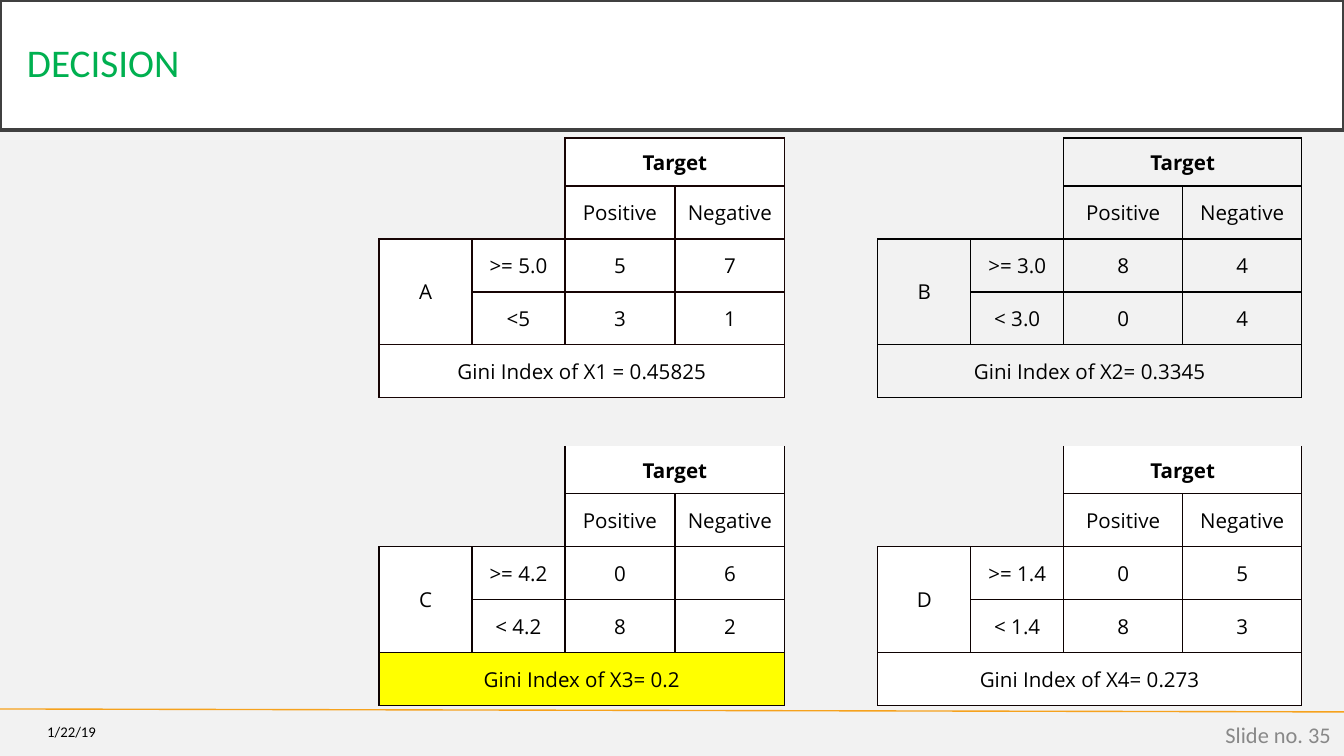
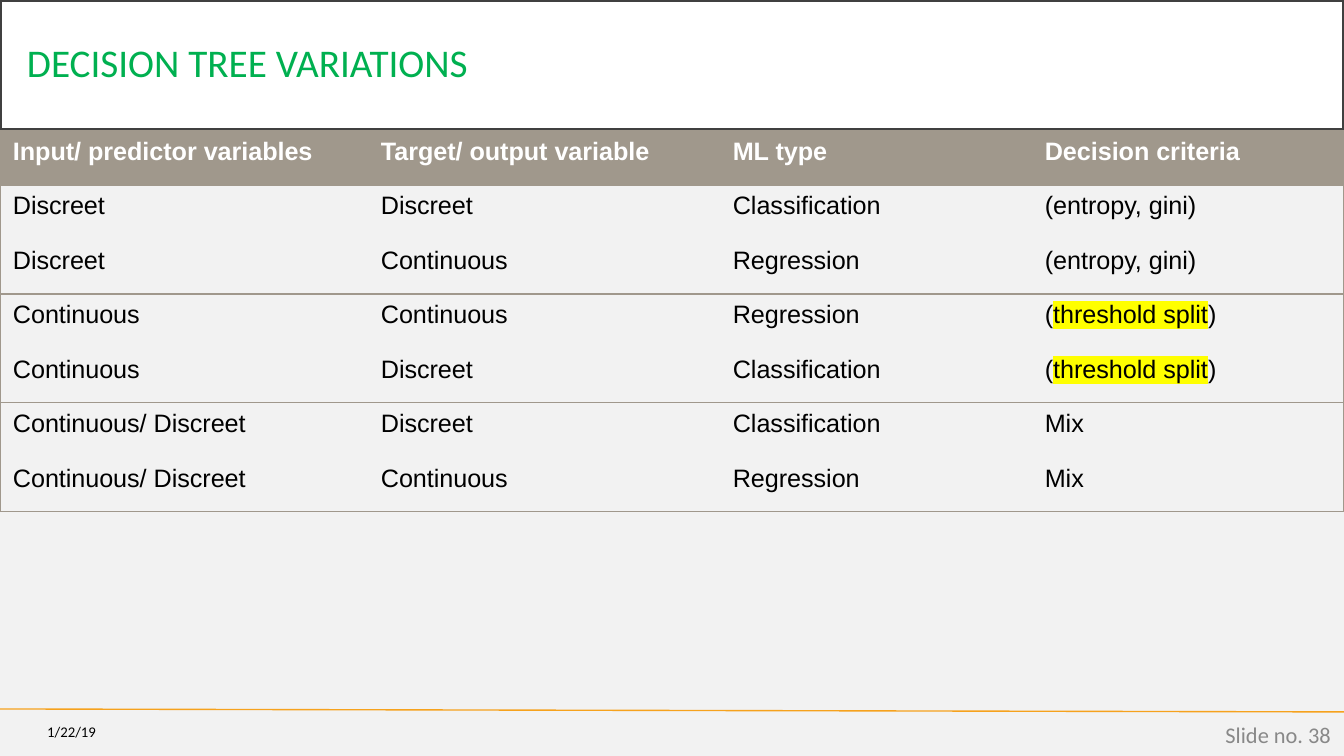
import pptx
import pptx.dml.color
import pptx.enum.shapes
import pptx.enum.text
import pptx.oxml
import pptx.oxml.ns
import pptx.util

PX = 9144000 / 1344
COLOURS = {
    "page": "F2F2F2", "white": "FFFFFF", "black": "000000", "title": "00B050",
    "banner line": "404040", "rule": "F6A21D", "number": "888888",
    "taupe": "A0988C", "yellow": "FFFF00",
}
NO_GRID_STYLE = "{2D5ABB26-0587-4C30-8999-92F81FD0307C}"
NAMESPACE = pptx.oxml.ns.nsdecls("a")
SIDES = {"L": (0, -1), "R": (0, 1), "T": (-1, 0), "B": (1, 0)}
ALIGN = pptx.enum.text.PP_ALIGN
MIDDLE = pptx.enum.text.MSO_ANCHOR.MIDDLE


def px(*lengths):
    return [pptx.util.Emu(round(length * PX)) for length in lengths]


def rgb(name):
    return pptx.dml.color.RGBColor.from_string(COLOURS[name])


deck = pptx.Presentation()
deck.slide_width, deck.slide_height = px(1344, 756)

# Shared frame: rule, title banner, date and slide number
pages = []
for title, number in (("DECISION", 35), ("DECISION TREE VARIATIONS", 38)):
    page = deck.slides.add_slide(deck.slide_layouts[6])
    pages.append(page)
    page.background.fill.solid()
    page.background.fill.fore_color.rgb = rgb("page")

    rule = page.shapes.add_connector(
        pptx.enum.shapes.MSO_CONNECTOR.STRAIGHT, *px(0, 709, 1344, 712))
    rule.line.color.rgb = rgb("rule")
    rule.line.width = pptx.util.Pt(0.75)
    rule._element.spPr.append(pptx.oxml.parse_xml(f"<a:effectLst {NAMESPACE}/>"))

    banner = page.shapes.add_shape(
        pptx.enum.shapes.MSO_SHAPE.RECTANGLE, *px(0, 0, 1344, 130))
    banner.shadow.inherit = False
    banner.fill.solid()
    banner.fill.fore_color.rgb = rgb("white")
    banner.line.color.rgb = rgb("banner line")
    banner.line.width = pptx.util.Pt(2.5)
    date = page.shapes.add_textbox(*px(0, 714, 109, 36))
    counter = page.shapes.add_textbox(*px(1042, 715, 302, 40))

    for box, text, size, colour, align, inset in (
            (banner, title, 21, "title", ALIGN.LEFT, (27, 27)),
            (date, "1/22/19", 7.9, "black", ALIGN.RIGHT, (13, 7)),
            (counter, f"Slide no. {number}", 12, "number", ALIGN.RIGHT, (13, 7))):
        frame = box.text_frame
        frame.word_wrap = True
        frame.vertical_anchor = MIDDLE
        frame.margin_left, frame.margin_top = px(*inset)
        frame.margin_right, frame.margin_bottom = px(*inset)
        para = frame.paragraphs[0]
        para.text = text
        para.alignment = align
        para.font.name, para.font.size = "Calibri", pptx.util.Pt(size)
        para.font.color.rgb = rgb(colour)
    banner.text_frame.paragraphs[0].line_spacing = 0.9

# What each table holds: cell texts, fills, spans and the colour of each edge
gini_blocks = (
    (0, 0, "A", ">= 5.0", "<5", "57", "31", "Gini Index of X1 = 0.45825", "white", "170404"),
    (0, 5, "B", ">= 3.0", "< 3.0", "84", "04", "Gini Index of X2= 0.3345", None, "000000"),
    (6, 0, "C", ">= 4.2", "< 4.2", "06", "82", "Gini Index of X3= 0.2", "white", "0D0202"),
    (6, 5, "D", ">= 1.4", "< 1.4", "05", "83", "Gini Index of X4= 0.273", "white", "0D0101"),
)
gini_texts, gini_fills, gini_spans, boxed = {}, {}, [], {}
for top, left, variable, above, below, upper, lower, index, fill, ink in gini_blocks:
    layout = (
        (0, 2, 1, 2, "Target"), (1, 2, 1, 1, "Positive"), (1, 3, 1, 1, "Negative"),
        (2, 0, 2, 1, variable), (2, 1, 1, 1, above), (3, 1, 1, 1, below),
        (2, 2, 1, 1, upper[0]), (2, 3, 1, 1, upper[1]),
        (3, 2, 1, 1, lower[0]), (3, 3, 1, 1, lower[1]), (4, 0, 1, 4, index))
    for row, column, height, width, text in layout:
        start = top + row, left + column
        gini_texts[start] = text
        gini_fills[start] = "yellow" if text == "Gini Index of X3= 0.2" else fill
        if height * width > 1:
            gini_spans.append((start, (start[0] + height - 1, start[1] + width - 1)))
        for down in range(height):
            for across in range(width):
                boxed[start[0] + down, start[1] + across] = ink

gini_edges = {}
for row in range(11):
    for column in range(9):
        for side, (down, across) in SIDES.items():
            neighbour = row + down, column + across
            open_top = {row, neighbour[0]} == {5, 6}
            ink = boxed.get((row, column)) or boxed.get(neighbour)
            if ink and not open_top:
                gini_edges[row, column, side] = ink

variation_rows = (
    ("Input/ predictor variables", "Target/ output variable", "ML type", "Decision criteria"),
    ("Discreet", "Discreet", "Classification", "(entropy, gini)"),
    ("Discreet", "Continuous", "Regression", "(entropy, gini)"),
    ("Continuous", "Continuous", "Regression", "(threshold split)"),
    ("Continuous", "Discreet", "Classification", "(threshold split)"),
    ("Continuous/ Discreet", "Discreet", "Classification", "Mix"),
    ("Continuous/ Discreet", "Continuous", "Regression", "Mix"),
)
variation_texts, variation_edges = {}, {}
for row, texts in enumerate(variation_rows):
    for column, text in enumerate(texts):
        variation_texts[row, column] = text
        drawn = {"L": column == 0, "R": column == 3,
                 "T": row == 0 or row % 2 == 1, "B": row % 2 == 0}
        for side in drawn:
            if drawn[side]:
                variation_edges[row, column, side] = COLOURS["taupe"]
variation_fills = {(0, column): "taupe" for column in range(4)}

# Both tables are drawn by the same steps
tables = (
    (pages[0], 379, 138, (93, 93, 110, 110, 93, 93, 93, 119, 119),
     (48, 53, 53, 53, 53, 48, 48, 53, 53, 53, 53), "Open Sans", 11,
     gini_texts, gini_fills, gini_spans, gini_edges),
    (pages[1], 0, 131, (368, 352, 312, 312), (54, 55, 54, 55, 54, 55, 54),
     "Arial", 13.5, variation_texts, variation_fills, (), variation_edges),
)
for page, left, top, widths, heights, font, size, texts, fills, spans, edges in tables:
    is_gini = page is pages[0]
    table = page.shapes.add_table(
        len(heights), len(widths), *px(left, top, sum(widths), sum(heights))).table
    table._tbl.tblPr.find(pptx.oxml.ns.qn("a:tableStyleId")).text = NO_GRID_STYLE
    table.horz_banding = False
    for column, width in zip(table.columns, px(*widths)):
        column.width = width
    for row, height in zip(table.rows, px(*heights)):
        row.height = height
    for start, end in spans:
        table.cell(*start).merge(table.cell(*end))

    for row in range(len(heights)):
        for column in range(len(widths)):
            cell = table.cell(row, column)
            text = texts.get((row, column), "")
            for side in SIDES:
                ink = edges.get((row, column, side))
                paint = (f'<a:solidFill><a:srgbClr val="{ink}"/></a:solidFill>'
                         if ink else "<a:noFill/>")
                cell._tc.get_or_add_tcPr().append(pptx.oxml.parse_xml(
                    f'<a:ln{side} {NAMESPACE} w="9525">{paint}</a:ln{side}>'))
            fill = fills.get((row, column))
            if fill:
                cell.fill.solid()
                cell.fill.fore_color.rgb = rgb(fill)
            else:
                cell.fill.background()

            insets = (13, 7, 13, 7)
            if is_gini:
                insets = (1, 1, 1, 0) if text in ("", "Target") else (1, 12, 1, 12)
                cell.vertical_anchor = MIDDLE
            (cell.margin_left, cell.margin_top,
             cell.margin_right, cell.margin_bottom) = px(*insets)

            para = cell.text_frame.paragraphs[0]
            para.alignment = ALIGN.CENTER if is_gini else ALIGN.LEFT
            is_header = not is_gini and row == 0
            para.font.name, para.font.size = font, pptx.util.Pt(size)
            para.font.bold = is_header or text == "Target"
            para.font.color.rgb = rgb("white" if is_header else "black")
            for piece in filter(None, text.partition("threshold split")):
                span = para.add_run()
                span.text = piece
                if piece == "threshold split":
                    span._r.get_or_add_rPr().append(pptx.oxml.parse_xml(
                        f'<a:highlight {NAMESPACE}><a:srgbClr val="{COLOURS["yellow"]}"/>'
                        "</a:highlight>"))
            if not text:
                para._p.append(pptx.oxml.parse_xml(
                    f'<a:endParaRPr {NAMESPACE} sz="{size * 100}"/>'))

deck.save("out.pptx")
